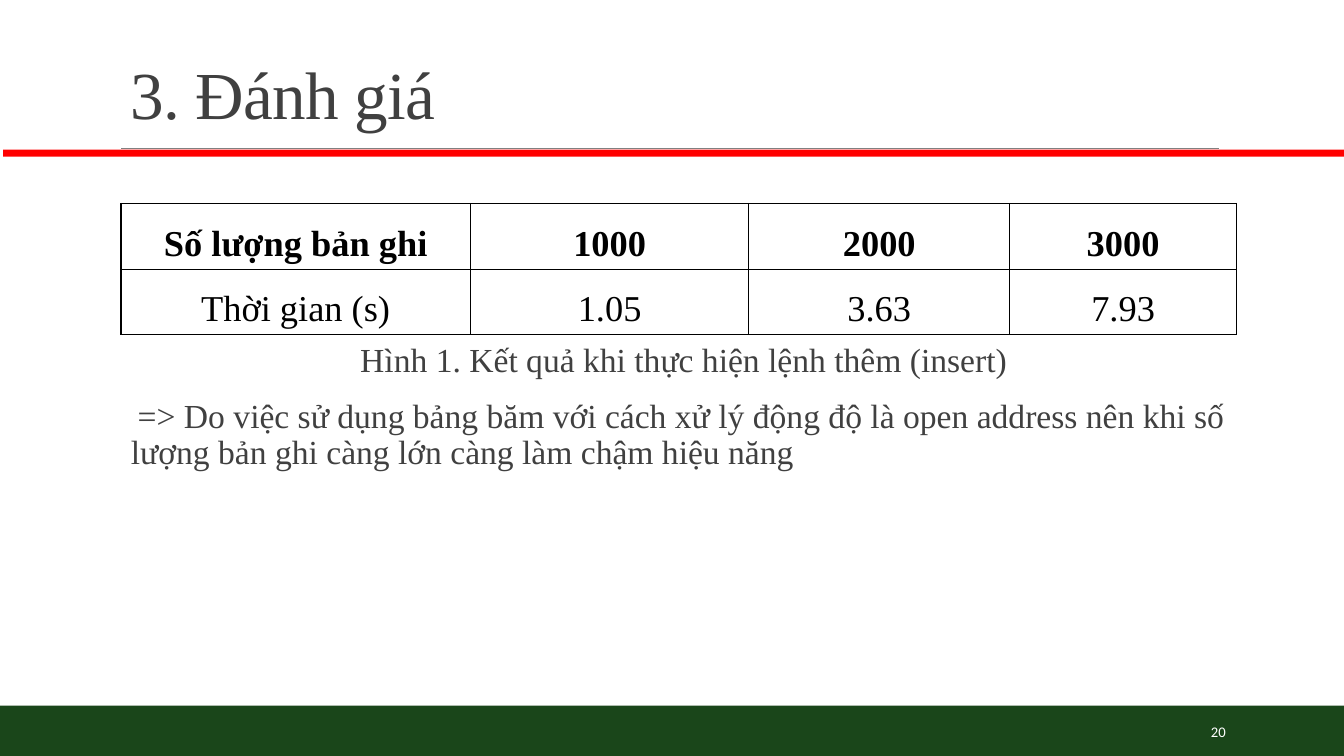
from dataclasses import dataclass

from lxml import etree
from pptx import Presentation
from pptx.dml.color import RGBColor
from pptx.enum.shapes import MSO_CONNECTOR, MSO_SHAPE
from pptx.enum.text import MSO_ANCHOR, PP_ALIGN
from pptx.oxml.ns import qn
from pptx.util import Cm, Pt

RECTANGLE = MSO_SHAPE.RECTANGLE
STRAIGHT = MSO_CONNECTOR.STRAIGHT
LEFT, CENTER, RIGHT = PP_ALIGN.LEFT, PP_ALIGN.CENTER, PP_ALIGN.RIGHT
TOP, MIDDLE, BOTTOM = MSO_ANCHOR.TOP, MSO_ANCHOR.MIDDLE, MSO_ANCHOR.BOTTOM

SERIF = "Times New Roman"
DARK_GREY, RED, GREEN = "404040", "FF0000", "1A461A"
SLIDE_WIDTH, SLIDE_HEIGHT = 33.87, 19.05
MARGIN = 3.05
CONTENT_WIDTH = 27.94


@dataclass
class Box:
    """Position and size in centimetres."""
    left: float
    top: float
    width: float
    height: float

    def lengths(self) -> tuple:
        return Cm(self.left), Cm(self.top), Cm(self.width), Cm(self.height)


@dataclass
class Bar:
    box: Box
    color: str


BARS = [
    Bar(Box(0, 17.78, SLIDE_WIDTH, 1.27), GREEN),
    Bar(Box(0.08, 3.77, SLIDE_WIDTH - 0.08, 0.18), RED),
]
TABLE_ROWS = [
    ["Số lượng bản ghi", "1000", "2000", "3000"],
    ["Thời gian (s)", "1.05", "3.63", "7.93"],
]
COLUMN_WIDTHS = [8.81, 7.01, 6.58, 5.71]
ROW_HEIGHT = 1.04


def rgb(color: str) -> RGBColor:
    return RGBColor.from_string(color)


def write(paragraph, text: str, *, size: float, color: str = DARK_GREY, font: str = SERIF,
          bold: bool = False, align=LEFT, line_spacing: float = 1.0,
          before: float = 0, after: float = 0, tracking: float = 0) -> None:
    paragraph.alignment = align
    paragraph.line_spacing = line_spacing
    paragraph.space_before, paragraph.space_after = Pt(before), Pt(after)
    run = paragraph.add_run()
    run.text = text
    run.font.name, run.font.size, run.font.bold = font, Pt(size), bold
    run.font.color.rgb = rgb(color)
    if tracking:
        run.font._element.set("spc", str(round(tracking * 100)))


def add_text_frame(slide, box: Box, anchor=TOP, side_inset: float = 0.25):
    frame = slide.shapes.add_textbox(*box.lengths()).text_frame
    frame.word_wrap = True
    frame.vertical_anchor = anchor
    frame.margin_left = frame.margin_right = Cm(side_inset)
    return frame


def add_bar(slide, bar: Bar) -> None:
    shape = slide.shapes.add_shape(RECTANGLE, *bar.box.lengths())
    shape.shadow.inherit = False
    shape.fill.solid()
    shape.fill.fore_color.rgb = rgb(bar.color)
    shape.line.fill.background()


def add_title_rule(slide) -> None:
    y = Cm(3.74)
    rule = slide.shapes.add_connector(STRAIGHT, Cm(MARGIN), y, Cm(30.73), y)
    rule.line.color.rgb = rgb("808080")
    rule.line.width = Pt(0.5)
    etree.SubElement(rule._element.spPr, qn("a:effectLst"))


def set_blank_bullet(paragraph) -> None:
    """Hanging indent with an invisible bullet."""
    properties = paragraph._p.get_or_add_pPr()
    indent = Cm(0.25)
    properties.set("marL", str(indent))
    properties.set("indent", str(-indent))
    bullet_color = etree.SubElement(properties, qn("a:buClr"))
    etree.SubElement(bullet_color, qn("a:srgbClr"), val=RED)
    etree.SubElement(properties, qn("a:buChar"), char=" ")


def set_borders(cell, color: str = "000000", width: float = 1) -> None:
    properties = cell._tc.get_or_add_tcPr()
    for position, side in enumerate(("a:lnL", "a:lnR", "a:lnT", "a:lnB")):
        border = etree.Element(qn(side), w=str(Pt(width)))
        fill = etree.SubElement(border, qn("a:solidFill"))
        etree.SubElement(fill, qn("a:srgbClr"), val=color)
        properties.insert(position, border)


def add_results_table(slide) -> None:
    box = Box(MARGIN, 5.13, sum(COLUMN_WIDTHS), ROW_HEIGHT * len(TABLE_ROWS))
    table = slide.shapes.add_table(len(TABLE_ROWS), len(COLUMN_WIDTHS), *box.lengths()).table
    table.first_row = table.horz_banding = False
    for column, width in zip(table.columns, COLUMN_WIDTHS):
        column.width = Cm(width)
    for row_index, values in enumerate(TABLE_ROWS):
        for column_index, value in enumerate(values):
            cell = table.cell(row_index, column_index)
            cell.fill.background()
            cell.margin_left = cell.margin_right = Cm(0.1)
            cell.margin_top = cell.margin_bottom = 0
            set_borders(cell)
            write(cell.text_frame.paragraphs[0], value, size=26, color="000000",
                  bold=row_index == 0, align=CENTER, line_spacing=1.5, before=10, after=6)


def add_discussion(slide) -> None:
    frame = add_text_frame(slide, Box(MARGIN, 8.53, CONTENT_WIDTH, 7.77), side_inset=0)
    caption, conclusion = frame.paragraphs[0], frame.add_paragraph()
    body = dict(size=24, line_spacing=0.9, before=12, after=2)
    write(caption, "Hình 1. Kết quả khi thực hiện lệnh thêm (insert)", align=CENTER, **body)
    write(conclusion, "=> Do việc sử dụng bảng băm với cách xử lý động độ là open address "
          "nên khi số lượng bản ghi càng lớn càng làm chậm hiệu năng", **body)
    for paragraph in frame.paragraphs:
        set_blank_bullet(paragraph)


def main() -> None:
    presentation = Presentation()
    presentation.slide_width, presentation.slide_height = Cm(SLIDE_WIDTH), Cm(SLIDE_HEIGHT)
    slide = presentation.slides.add_slide(presentation.slide_layouts[6])

    # Frame of the slide
    for bar in BARS:
        add_bar(slide, bar)
    add_title_rule(slide)

    # Title
    title = add_text_frame(slide, Box(MARGIN, 0.79, CONTENT_WIDTH, 2.69), BOTTOM)
    write(title.paragraphs[0], "3. Đánh giá", size=48, line_spacing=0.85, tracking=-0.5)

    # Results and discussion
    add_results_table(slide)
    add_discussion(slide)

    # Slide number
    number = add_text_frame(slide, Box(27.51, 17.93, 3.63, 1.02), MIDDLE)
    write(number.paragraphs[0], "20", size=10.5, color="FFFFFF", font="Calibri", align=RIGHT)

    presentation.save("out.pptx")


if __name__ == "__main__":
    main()
